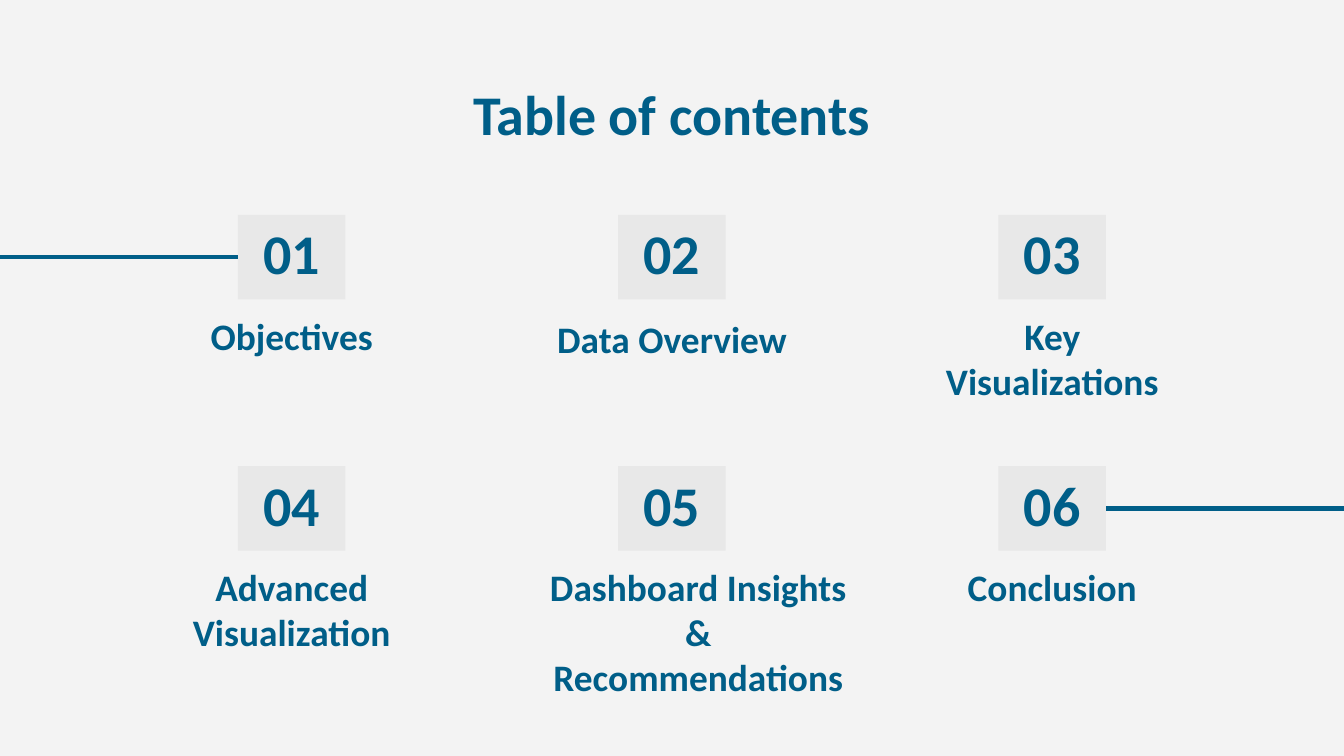
import pptx
import pptx.dml.color
import pptx.enum.shapes
import pptx.enum.text
import pptx.oxml
import pptx.oxml.ns
import pptx.util

Pt = pptx.util.Pt
BLUE = pptx.dml.color.RGBColor(0x00, 0x5E, 0x88)
TILE_GRAY = pptx.dml.color.RGBColor(0xE8, 0xE8, 0xE8)
PAGE_GRAY = pptx.dml.color.RGBColor(0xF3, 0xF3, 0xF3)
TOP = pptx.enum.text.MSO_ANCHOR.TOP
BOTTOM = pptx.enum.text.MSO_ANCHOR.BOTTOM

PAGE_WIDTH, PAGE_HEIGHT = 720, 405
TILE_WIDTH, TILE_HEIGHT = 57.6, 45.3
LABEL_WIDTH, LABEL_HEIGHT = 159, 58.3
COLUMNS = 3
TOPICS = ["Objectives", "Data Overview", "Key Visualizations",
          "Advanced Visualization", "Dashboard Insights & Recommendations",
          "Conclusion"]
WIDE_LABELS = {"Dashboard Insights & Recommendations": 187.2}
HANGING_LABELS = {"Data Overview"}


def write_text(shape, text, size, anchor=TOP):
    """Fill a shape with one centred bold paragraph and return it."""
    frame = shape.text_frame
    frame_format = {"word_wrap": True, "vertical_anchor": anchor}
    frame_format.update({f"margin_{side}": Pt(7.2)
                         for side in ("left", "top", "right", "bottom")})
    for name, value in frame_format.items():
        setattr(frame, name, value)
    para = frame.paragraphs[0]
    para.alignment = pptx.enum.text.PP_ALIGN.CENTER
    span = para.add_run()
    span.text = text
    for name, value in {"name": "Calibri", "size": Pt(size), "bold": True}.items():
        setattr(span.font, name, value)
    span.font.color.rgb = BLUE
    return para


def add_title(page, left, top, width, height):
    box = page.shapes.add_textbox(Pt(left), Pt(top), Pt(width), Pt(height))
    write_text(box, "Table of contents", 30)


def add_topic(page, left, top, number, topic):
    """Place a number tile with its label below, and return the tile."""
    # Number tile
    tile = page.shapes.add_shape(pptx.enum.shapes.MSO_SHAPE.RECTANGLE,
                                 Pt(left), Pt(top), Pt(TILE_WIDTH), Pt(TILE_HEIGHT))
    tile.shadow.inherit = False
    tile.fill.solid()
    tile.fill.fore_color.rgb = TILE_GRAY
    tile.line.fill.background()
    write_text(tile, f"{number:02d}", 30, BOTTOM)

    # Label, centred under the tile at its usual width
    label_left = left + (TILE_WIDTH - LABEL_WIDTH) / 2
    box = page.shapes.add_textbox(Pt(label_left), Pt(top + TILE_HEIGHT),
                                  Pt(WIDE_LABELS.get(topic, LABEL_WIDTH)),
                                  Pt(LABEL_HEIGHT))
    para = write_text(box, topic, 20)
    if topic in HANGING_LABELS:
        para.line_spacing = 1.07
        para.space_after = Pt(8)
        properties = para._p.get_or_add_pPr()
        properties.set("marL", str(Pt(18)))
        properties.set("indent", str(Pt(-23.8)))
    return tile


def add_topic_grid(page, left, top, column_step, row_step):
    """Place all topics row by row and return their tiles."""
    tiles = []
    for index, topic in enumerate(TOPICS):
        row, column = divmod(index, COLUMNS)
        tiles.append(add_topic(page, left + column * column_step,
                               top + row * row_step, index + 1, topic))
    return tiles


def add_edge_line(page, tile, edge, site):
    """Run a line from a page edge to the side of a tile."""
    middle = tile.top + tile.height // 2
    line = page.shapes.add_connector(pptx.enum.shapes.MSO_CONNECTOR.STRAIGHT,
                                     Pt(edge), middle, tile.left, middle)
    line.end_connect(tile, site)
    line.line.color.rgb = BLUE
    line.line.width = Pt(2.25)
    line._element.spPr.append(
        pptx.oxml.parse_xml(f"<a:effectLst {pptx.oxml.ns.nsdecls('a')}/>"))


def main():
    deck = pptx.Presentation()
    deck.slide_width, deck.slide_height = Pt(PAGE_WIDTH), Pt(PAGE_HEIGHT)
    page = deck.slides.add_slide(deck.slide_layouts[6])
    page.background.fill.solid()
    page.background.fill.fore_color.rgb = PAGE_GRAY

    add_title(page, 56.7, 35.2, 606.6, 45.3)
    tiles = add_topic_grid(page, 127.5, 115.2, 203.7, 134.6)

    # Lines from the page edges to the first and last tiles
    add_edge_line(page, tiles[0], 0, 1)
    add_edge_line(page, tiles[-1], PAGE_WIDTH, 3)

    deck.save("out.pptx")


if __name__ == "__main__":
    main()
